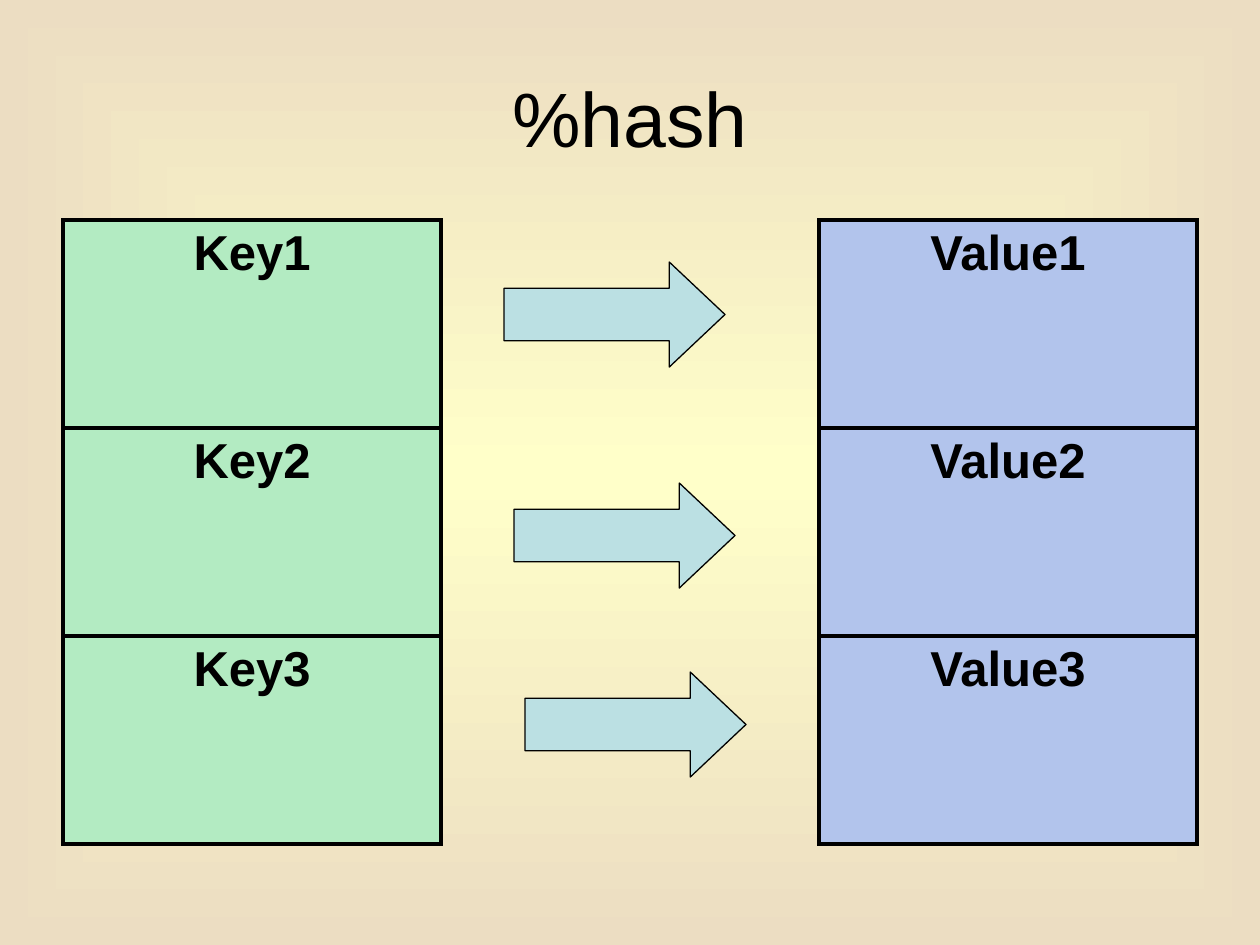
from lxml import etree
from pptx import Presentation, util as u
from pptx.dml.color import RGBColor
from pptx.enum import shapes, text
from pptx.oxml import ns

PX = 914400 / 126
BLACK = RGBColor(0x00, 0x00, 0x00)
GREEN = RGBColor(0xB3, 0xEB, 0xC2)
BLUE = RGBColor(0xB2, 0xC4, 0xEC)
TEAL = RGBColor(0xBB, 0xE0, 0xE3)
CREAM = RGBColor(0xFF, 0xFF, 0xC9)
SAND = RGBColor(0xEC, 0xDD, 0xC2)


def px(*lengths):
    return [u.Emu(round(length * PX)) for length in lengths]


def child(parent, tag, **attributes):
    return etree.SubElement(parent, ns.qn(tag), attributes)


def set_background(page):
    fill = page.background.fill
    fill.gradient()
    for stop, color, position in zip(fill.gradient_stops, (CREAM, SAND), (0, 1)):
        stop.color.rgb = color
        stop.position = position
    # Radiate from the centre as rectangles instead of running in a line
    linear = page.background._cSld.find(".//" + ns.qn("a:lin"))
    radial = etree.Element(ns.qn("a:path"), {"path": "rect"})
    child(radial, "a:fillToRect", l="50000", t="50000", r="50000", b="50000")
    linear.getparent().replace(linear, radial)


def write(frame, words, size, bold=False):
    para = frame.paragraphs[0]
    para.text = words
    para.alignment = text.PP_ALIGN.CENTER
    para.font.name = "Arial"
    para.font.size = u.Pt(size)
    para.font.bold = bold
    para.font.color.rgb = BLACK


def add_title(page, words):
    box = page.shapes.add_textbox(*px(63, 38, 1134, 158))
    box.text_frame.word_wrap = True
    box.text_frame.vertical_anchor = text.MSO_ANCHOR.MIDDLE
    write(box.text_frame, words, 44)


def set_borders(cell, visible_sides):
    properties = cell._tc.get_or_add_tcPr()
    for side in "LRTB":
        line = child(properties, f"a:ln{side}", w=str(u.Pt(1.98)))
        if side in visible_sides:
            child(child(line, "a:solidFill"), "a:srgbClr", val=str(BLACK))
        else:
            child(line, "a:noFill")


def add_hash_table(page, pairs):
    frame = page.shapes.add_table(len(pairs), 3, *px(63, 220, 1134, 208 * len(pairs)))
    table = frame.table
    table.first_row = table.horz_banding = False
    for row, (key, value) in enumerate(pairs):
        for column, words, color in ((0, key, GREEN), (2, value, BLUE)):
            cell = table.cell(row, column)
            set_borders(cell, "LRTB")
            cell.fill.solid()
            cell.fill.fore_color.rgb = color
            write(cell.text_frame, words, 28, bold=True)
        gap = table.cell(row, 1)
        set_borders(gap, "LR")
        gap.fill.background()


def add_arrow(page, left, top):
    arrow = page.shapes.add_shape(shapes.MSO_SHAPE.RIGHT_ARROW, *px(left, top, 221, 105))
    arrow.adjustments[0] = 0.5
    arrow.adjustments[1] = 0.53
    arrow.shadow.inherit = False
    arrow.fill.solid()
    arrow.fill.fore_color.rgb = TEAL
    arrow.line.color.rgb = BLACK
    arrow.line.width = u.Pt(0.75)


def main():
    deck = Presentation()
    deck.slide_width, deck.slide_height = px(1260, 945)
    page = deck.slides.add_slide(deck.slide_layouts[6])
    set_background(page)

    # Title and key/value columns
    add_title(page, "%hash")
    add_hash_table(page, [(f"Key{n}", f"Value{n}") for n in (1, 2, 3)])

    # Arrows from keys to values
    for left, top in ((504, 262), (514, 483), (525, 672)):
        add_arrow(page, left, top)

    deck.save("out.pptx")


if __name__ == "__main__":
    main()
